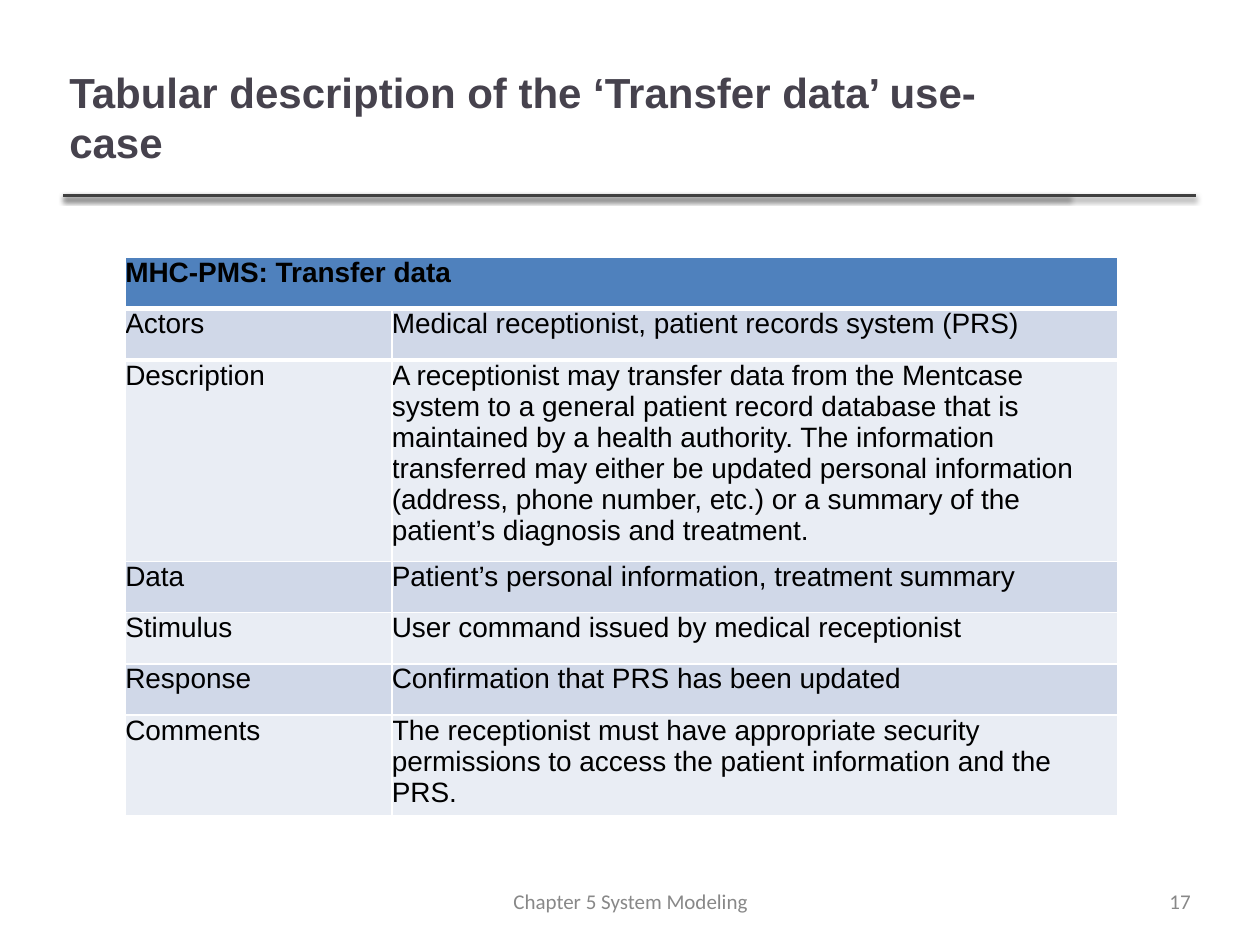
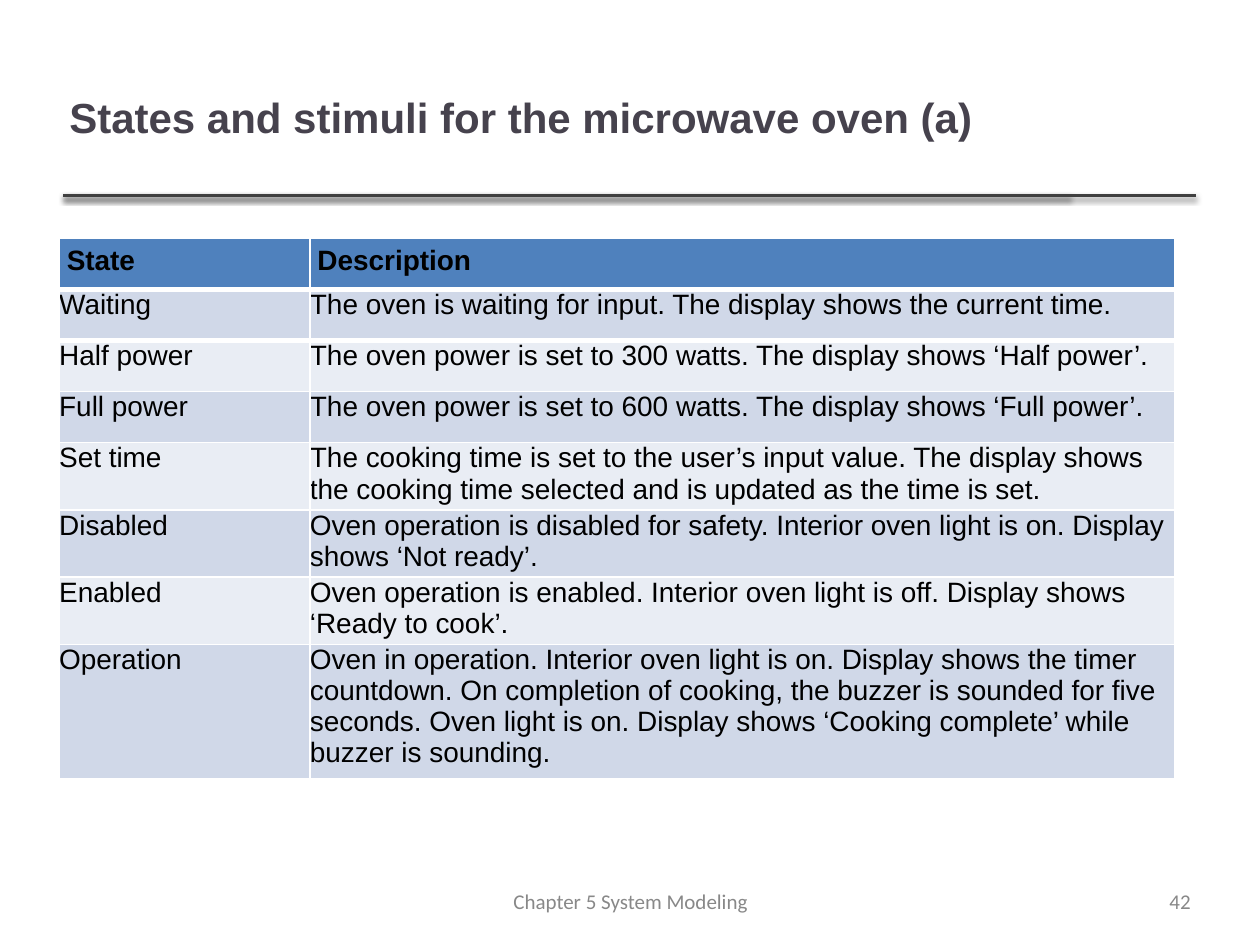
"""Build two slides that describe a use-case and the microwave oven states in tables."""
import dataclasses
import typing

import lxml.etree
import pptx
import pptx.dml.color
import pptx.enum.shapes
import pptx.enum.text
import pptx.oxml
import pptx.oxml.ns
import pptx.util

ALIGN = pptx.enum.text.PP_ALIGN
AUTO_SIZE = pptx.enum.text.MSO_AUTO_SIZE
MIDDLE = pptx.enum.text.MSO_ANCHOR.MIDDLE
SLIDE_WIDTH = pptx.util.Inches(10)
SLIDE_HEIGHT = pptx.util.Inches(7.5)
GRID_COLUMNS = 100
GRID_ROWS = 75
TITLE_ONLY_LAYOUT = 5
FOOTER_TEXT = "Chapter 5 System Modeling"
RULE_ENDS = (84.9, 94.9)
ROW_HEIGHT = 4.06


@dataclasses.dataclass(frozen=True)
class TextStyle:
    font: str
    size: int
    color: str
    bold: bool = False


@dataclasses.dataclass(frozen=True)
class Theme:
    title: TextStyle = TextStyle("Arial", 24, "46424D", True)
    header: TextStyle = TextStyle("Arial", 16, "000000", True)
    body: TextStyle = TextStyle("Arial", 16, "000000")
    footer: TextStyle = TextStyle("Calibri", 12, "888888")
    rule: str = "404040"
    shadow: str = "000000"
    header_fill: str = "4F81BD"
    band_fills: tuple[str, str] = ("D0D8E8", "E9EDF4")
    border: str = "FFFFFF"
    rule_width: int = 2
    thin_border: int = 1
    thick_border: int = 3
    inset: float = 0.05


@dataclasses.dataclass(frozen=True)
class Area:
    left: float
    top: float
    width: float
    height: float

    def lengths(self) -> tuple[int, int, int, int]:
        return across(self.left), down(self.top), across(self.width), down(self.height)


@dataclasses.dataclass(frozen=True)
class TableSlide:
    title: str
    number: str
    left: float
    top: float
    column_widths: tuple[float, float]
    header_inset: float
    rows: list[tuple[str, ...]]


THEME = Theme()
TITLE_AREA = Area(5, 3, 79.8, 12.5)
FOOTER_AREA = Area(34.7, 70.2, 30.7, 2.7)
NUMBER_AREA = Area(92.2, 70.2, 2.8, 2.7)
RULE_LEFT = 5
RULE_TOP = 15.5

SLIDES = [
    TableSlide(
        "Tabular description of the ‘Transfer data’ use-case", "17",
        9.95, 20.45, (21.15, 57.6), 0,
        [
            ("MHC-PMS: Transfer data",),
            ("Actors", "Medical receptionist, patient records system (PRS)"),
            ("Description", "A receptionist may transfer data from the Mentcase system to a "
             "general patient record database that is maintained by a health authority. The "
             "information transferred may either be updated personal information (address, "
             "phone number, etc.) or a summary of the patient’s diagnosis and treatment."),
            ("Data", "Patient’s personal information, treatment summary"),
            ("Stimulus", "User command issued by medical receptionist"),
            ("Response", "Confirmation that PRS has been updated"),
            ("Comments", "The receptionist must have appropriate security permissions to "
             "access the patient information and the PRS."),
        ],
    ),
    TableSlide(
        "States and stimuli for the microwave oven (a)", "42",
        4.7, 18.9, (19.9, 68.6), 0.06,
        [
            ("State", "Description"),
            ("Waiting", "The oven is waiting for input. The display shows the current time."),
            ("Half power", "The oven power is set to 300 watts. The display shows ‘Half power’."),
            ("Full power", "The oven power is set to 600 watts. The display shows ‘Full power’."),
            ("Set time", "The cooking time is set to the user’s input value. The display shows "
             "the cooking time selected and is updated as the time is set."),
            ("Disabled", "Oven operation is disabled for safety. Interior oven light is on. "
             "Display shows ‘Not ready’."),
            ("Enabled", "Oven operation is enabled. Interior oven light is off. Display shows "
             "‘Ready to cook’."),
            ("Operation", "Oven in operation. Interior oven light is on. Display shows the timer "
             "countdown. On completion of cooking, the buzzer is sounded for five seconds. Oven "
             "light is on. Display shows ‘Cooking complete’ while buzzer is sounding."),
        ],
    ),
]


def across(columns: float) -> int:
    return round(SLIDE_WIDTH * columns / GRID_COLUMNS)


def down(rows: float) -> int:
    return round(SLIDE_HEIGHT * rows / GRID_ROWS)


def rgb(color: str) -> pptx.dml.color.RGBColor:
    return pptx.dml.color.RGBColor.from_string(color)


def set_insets(holder: typing.Any, inches: float) -> None:
    for side in ("left", "top", "right", "bottom"):
        setattr(holder, f"margin_{side}", pptx.util.Inches(inches))


def write(frame: typing.Any, text: str, style: TextStyle, align: ALIGN) -> None:
    frame.text = text
    para = frame.paragraphs[0]
    para.alignment = align
    for span in para.runs:
        span.font.name = style.font
        span.font.size = pptx.util.Pt(style.size)
        span.font.bold = style.bold
        span.font.color.rgb = rgb(style.color)


def fill_box(box: typing.Any, text: str, style: TextStyle, align: ALIGN,
             auto_size: AUTO_SIZE, wrap: bool = True) -> None:
    frame = box.text_frame
    frame.word_wrap = wrap
    frame.auto_size = auto_size
    frame.vertical_anchor = MIDDLE
    set_insets(frame, THEME.inset)
    write(frame, text, style, align)


def add_title(page: typing.Any, text: str) -> None:
    box = page.shapes.title
    box.left, box.top, box.width, box.height = TITLE_AREA.lengths()
    fill_box(box, text, THEME.title, ALIGN.LEFT, AUTO_SIZE.NONE)


def add_footer(page: typing.Any, area: Area, text: str, align: ALIGN, wrap: bool) -> None:
    box = page.shapes.add_textbox(*area.lengths())
    fill_box(box, text, THEME.footer, align, AUTO_SIZE.SHAPE_TO_FIT_TEXT, wrap)


def add_rule(page: typing.Any, right: float) -> None:
    rule = page.shapes.add_connector(
        pptx.enum.shapes.MSO_CONNECTOR.STRAIGHT,
        across(RULE_LEFT), down(RULE_TOP), across(right), down(RULE_TOP))
    rule.line.color.rgb = rgb(THEME.rule)
    rule.line.width = pptx.util.Pt(THEME.rule_width)
    rule._element.spPr.append(pptx.oxml.parse_xml(
        f'<a:effectLst {pptx.oxml.ns.nsdecls("a")}>'
        f'<a:outerShdw blurRad="{pptx.util.Pt(3)}" dist="{pptx.util.Pt(1.6)}" '
        f'dir="5400000" rotWithShape="0"><a:srgbClr val="{THEME.shadow}">'
        '<a:alpha val="38000"/></a:srgbClr></a:outerShdw></a:effectLst>'))


def set_borders(cell: typing.Any, top: int, bottom: int) -> None:
    widths = {"lnL": THEME.thin_border, "lnR": THEME.thin_border, "lnT": top, "lnB": bottom}
    properties = cell._tc.get_or_add_tcPr()
    for position, (tag, width) in enumerate(widths.items()):
        line = lxml.etree.Element(pptx.oxml.ns.qn(f"a:{tag}"), w=str(pptx.util.Pt(width)))
        fill = lxml.etree.SubElement(line, pptx.oxml.ns.qn("a:solidFill"))
        lxml.etree.SubElement(fill, pptx.oxml.ns.qn("a:srgbClr"), val=THEME.border)
        properties.insert(position, line)


def style_cell(cell: typing.Any, row: int, header_inset: float) -> None:
    is_header = row == 0
    set_insets(cell, header_inset if is_header else 0)
    cell.fill.solid()
    cell.fill.fore_color.rgb = rgb(
        THEME.header_fill if is_header else THEME.band_fills[(row - 1) % 2])
    set_borders(
        cell,
        top=THEME.thick_border if row in (1, 2) else THEME.thin_border,
        bottom=THEME.thick_border if row in (0, 1) else THEME.thin_border)


def add_description_table(page: typing.Any, content: TableSlide) -> None:
    row_count = len(content.rows)
    area = Area(content.left, content.top, sum(content.column_widths), row_count * ROW_HEIGHT)
    table = page.shapes.add_table(
        row_count, len(content.column_widths), *area.lengths()).table
    for column, width in zip(table.columns, content.column_widths):
        column.width = across(width)
    for row, texts in enumerate(content.rows):
        table.rows[row].height = down(ROW_HEIGHT)
        for cell in table.rows[row].cells:
            style_cell(cell, row, content.header_inset)
        if len(texts) == 1:
            table.cell(row, 0).merge(table.cell(row, len(content.column_widths) - 1))
        for column, text in enumerate(texts):
            justified = row == 0 or column == 0
            write(table.cell(row, column).text_frame, text,
                  THEME.header if row == 0 else THEME.body,
                  ALIGN.JUSTIFY if justified else ALIGN.LEFT)


def add_page(deck: typing.Any, content: TableSlide) -> None:
    page = deck.slides.add_slide(deck.slide_layouts[TITLE_ONLY_LAYOUT])
    for right in RULE_ENDS:
        add_rule(page, right)
    add_footer(page, FOOTER_AREA, FOOTER_TEXT, ALIGN.CENTER, wrap=True)
    add_title(page, content.title)
    add_footer(page, NUMBER_AREA, content.number, ALIGN.RIGHT, wrap=False)
    add_description_table(page, content)


def main() -> None:
    deck = pptx.Presentation()
    deck.slide_width = SLIDE_WIDTH
    deck.slide_height = SLIDE_HEIGHT
    for content in SLIDES:
        add_page(deck, content)
    deck.save("out.pptx")


if __name__ == "__main__":
    main()
